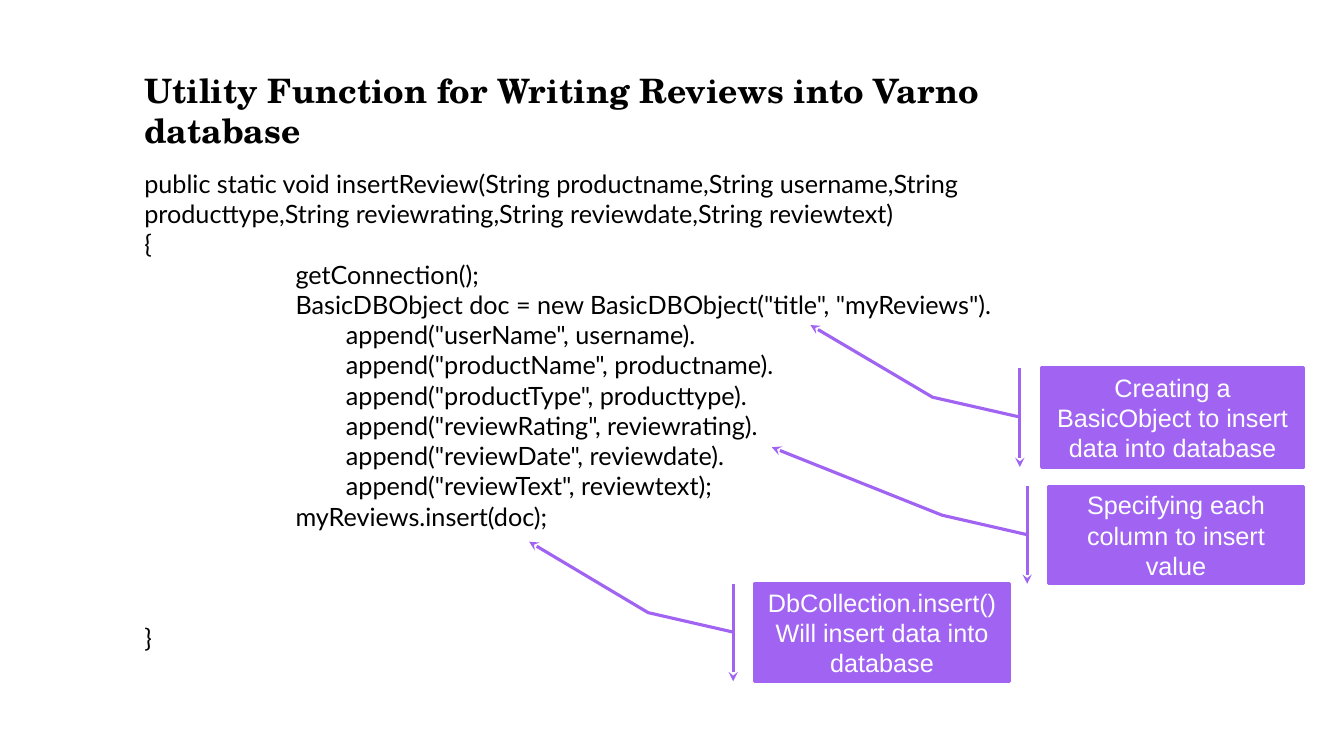
from dataclasses import dataclass

from lxml.etree import SubElement
from pptx import Presentation
from pptx.dml.color import RGBColor
from pptx.enum.shapes import MSO_SHAPE as Shape
from pptx.enum.text import MSO_ANCHOR as Anchor, PP_ALIGN as Align
from pptx.oxml.ns import qn
from pptx.util import Inches, Pt


@dataclass(frozen=True)
class Theme:
    ink: str = "000000"
    accent: str = "A164F2"
    paper: str = "FFFFFF"
    title_font: str = "TeX Gyre Schola"
    code_font: str = "Lato"
    note_font: str = "Arial"
    title_size: int = 24
    body_size: int = 18
    line_width: float = 2.25


class ReviewSlide:
    """Draws styled elements on one slide, placed on an 80 by 45 grid."""

    def __init__(self, deck, theme):
        self.theme = theme
        self.slide = deck.slides.add_slide(deck.slide_layouts[6])
        self.column = deck.slide_width / 80
        self.row = deck.slide_height / 45

    def place(self, left, top, width, height):
        return (round(left * self.column), round(top * self.row),
                round(width * self.column), round(height * self.row))

    def add_words(self, paragraph, words, font, size, color, bold=False):
        run = paragraph.add_run()
        run.text = words
        run.font.name = font
        run.font.size = Pt(size)
        run.font.bold = bold
        run.font.color.rgb = RGBColor.from_string(color)

    def paragraphs(self, frame, count):
        return [frame.paragraphs[0]] + [frame.add_paragraph() for _ in range(count - 1)]

    def text_frame(self, area):
        frame = self.slide.shapes.add_textbox(*self.place(*area)).text_frame
        frame.word_wrap = True
        return frame

    def title(self, area, words):
        look = self.theme
        heading = self.text_frame(area).paragraphs[0]
        self.add_words(heading, words, look.title_font, look.title_size, look.ink, bold=True)

    def code(self, area, lines):
        look = self.theme
        frame = self.text_frame(area)
        for paragraph, (depth, words, gap) in zip(self.paragraphs(frame, len(lines)), lines):
            if depth:
                paragraph._p.get_or_add_pPr().set("marL", str(Inches(depth / 2)))
            paragraph.space_before = Pt(gap)
            self.add_words(paragraph, words, look.code_font, look.body_size, look.ink)

    def callout(self, area, lines, tip):
        look = self.theme
        note = self.slide.shapes.add_shape(
            Shape.LINE_CALLOUT_2_BORDER_AND_ACCENT_BAR, *self.place(*area))
        for index, share in enumerate((0.496, -0.083, 0.296, -0.416, *tip)):
            note.adjustments[index] = share
        note.shadow.inherit = False
        accent = RGBColor.from_string(look.accent)
        note.fill.solid()
        note.fill.fore_color.rgb = accent
        note.line.color.rgb = accent
        note.line.width = Pt(look.line_width)
        outline = note._element.spPr.find(qn("a:ln"))
        SubElement(outline, qn("a:tailEnd"), type="stealth")
        frame = note.text_frame
        frame.word_wrap = True
        frame.vertical_anchor = Anchor.MIDDLE
        for paragraph, words in zip(self.paragraphs(frame, len(lines)), lines):
            paragraph.alignment = Align.CENTER
            self.add_words(paragraph, words, look.note_font, look.body_size, look.paper)


def main():
    deck = Presentation()
    deck.slide_width, deck.slide_height = Inches(13.33), Inches(7.5)
    page = ReviewSlide(deck, Theme())

    fields = ("userName", "productName", "productType",
              "reviewRating", "reviewDate", "reviewText")
    appends = [(4, f'append("{field}", {field.lower()})' + (";" if field == fields[-1] else "."), 0)
               for field in fields]
    page.code((8, 9.72, 57.1, 29.7), [
        (0, "public static void insertReview(String productname,String username,"
            "String producttype,String reviewrating,String reviewdate,String reviewtext)", 0),
        (0, "{", 0),
        (3, "getConnection();", 0),
        (3, 'BasicDBObject doc = new BasicDBObject("title", "myReviews").', 0),
        *appends,
        (3, "myReviews.insert(doc);", 0),
        (0, "}", 65),
    ])
    page.title((8, 3.84, 60.6, 5.4), "Utility Function for Writing Reviews into Varno database")

    near, far = (-0.432, -0.882), (-0.402, -1.083)
    page.callout((62, 21.9, 15.6, 5.9),
                 ["Creating a BasicObject to insert data into database"], near)
    page.callout((44.9, 34.75, 15.2, 5.8),
                 ["DbCollection.insert()", "Will insert data into database"], near)
    page.callout((62.4, 28.95, 15.2, 5.8),
                 ["Specifying each column to insert value"], far)
    deck.save("out.pptx")


if __name__ == "__main__":
    main()
